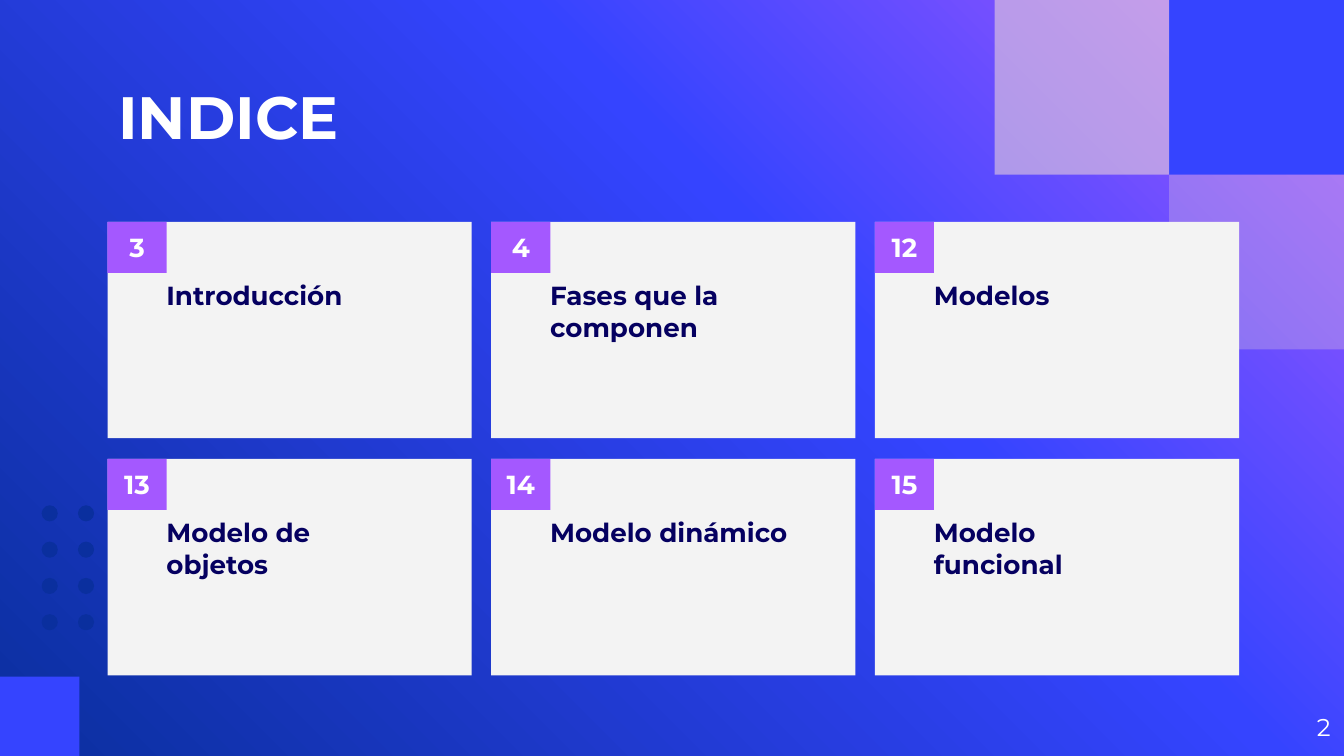
import pptx
import pptx.util
import pptx.dml.color
import pptx.enum.shapes
import pptx.enum.text
import pptx.oxml.ns
import lxml.etree
import copy

SCALE = 4572
FONT = "Montserrat"
COLORS = {
    "violet": "A458FF",
    "blue": "3544FF",
    "deep": "0A2F9E",
    "blush": "F2DADA",
    "card": "F3F3F3",
    "ink": "050060",
    "white": "FFFFFF",
}
TOPICS = [
    ("3", "Introducción", 406),
    ("4", "Fases que la componen", 406),
    ("12", "Modelos", 406),
    ("13", "Modelo de objetos", 406),
    ("14", "Modelo dinámico", 406),
    ("15", "Modelo funcional", 386),
]
SHAPE = pptx.enum.shapes.MSO_SHAPE
ALIGN = pptx.enum.text.PP_ALIGN
ANCHOR = pptx.enum.text.MSO_ANCHOR


def emu(px):
    return pptx.util.Emu(px * SCALE)


def tint(name):
    return pptx.dml.color.RGBColor.from_string(COLORS[name])


def block(slide, box, color, kind=SHAPE.RECTANGLE, alpha=None):
    shape = slide.shapes.add_shape(kind, *map(emu, box))
    shape.shadow.inherit = False
    shape.line.fill.background()
    shape.fill.solid()
    shape.fill.fore_color.rgb = tint(color)
    if alpha is not None:
        node = shape.element.spPr.find(".//" + pptx.oxml.ns.qn("a:srgbClr"))
        mark = lxml.etree.SubElement(node, pptx.oxml.ns.qn("a:alpha"))
        mark.set("val", str(alpha * 1000))
    return shape


def write(shape, text, size, color, bold=True, align=ALIGN.LEFT,
          anchor=ANCHOR.TOP, pad=(20, 20), after=0):
    frame = shape.text_frame
    frame.word_wrap = True
    frame.auto_size = pptx.enum.text.MSO_AUTO_SIZE.NONE
    frame.vertical_anchor = anchor
    frame.margin_left = frame.margin_right = emu(pad[0])
    frame.margin_top = frame.margin_bottom = emu(pad[1])
    para = frame.paragraphs[0]
    para.alignment = align
    para.space_after = pptx.util.Pt(after)
    run = para.add_run()
    run.text = text
    run.font.name = FONT
    run.font.size = pptx.util.Pt(size)
    run.font.bold = bold
    run.font.color.rgb = tint(color)


def label(slide, box, text, size, color, **style):
    shape = slide.shapes.add_textbox(*map(emu, box))
    write(shape, text, size, color, **style)


def backdrop(slide):
    fill = slide.background.fill
    fill.gradient()
    stops = slide.element.find(".//" + pptx.oxml.ns.qn("a:gsLst"))
    stops.append(copy.deepcopy(stops[-1]))
    ramp = [(0, "violet"), (0.39, "blue"), (1, "deep")]
    for stop, (spot, name) in zip(fill.gradient_stops, ramp):
        stop.position = spot
        stop.color.rgb = tint(name)
    fill.gradient_angle = 225


def dots(slide, left, top):
    for row in range(4):
        for col in range(2):
            box = (left + 54 * col, top + 54 * row, 24, 24)
            block(slide, box, "deep", SHAPE.OVAL)


def corner(slide, left, top, side):
    block(slide, (left + side, top, side, side), "blue")
    block(slide, (left + side, top + side, side, side), "blush", alpha=28)
    block(slide, (left, top, side, side), "blush", alpha=55)


def heading(slide, box, text):
    title = slide.shapes.title
    title.left, title.top, title.width, title.height = map(emu, box)
    write(title, text, 32, "white")


def card(slide, box, number, topic, width):
    left, top = box[:2]
    block(slide, box, "card")
    tag = block(slide, (left, top, 88, 76), "violet")
    write(tag, number, 14, "white", align=ALIGN.CENTER,
          anchor=ANCHOR.MIDDLE, pad=(0, 20))
    label(slide, (left + 68, top + 66, width, 76), topic, 14, "ink", after=8)


def grid(slide, left, top):
    for index, topic in enumerate(TOPICS):
        row, col = divmod(index, 3)
        card(slide, (left + 571 * col, top + 353 * row, 542, 322), *topic)


def main():
    deck = pptx.Presentation()
    deck.slide_width, deck.slide_height = emu(2000), emu(1125)
    slide = deck.slides.add_slide(deck.slide_layouts[5])
    backdrop(slide)
    dots(slide, 62, 752)
    block(slide, (0, 1007, 118, 118), "blue")
    corner(slide, 1480, 0, 260)
    heading(slide, (156, 98, 1688, 126), "INDICE")
    grid(slide, 160, 330)
    label(slide, (1880, 1050, 120, 86), "2", 13, "white",
          bold=False, align=ALIGN.RIGHT, pad=(20, 10))
    deck.save("out.pptx")


if __name__ == "__main__":
    main()
